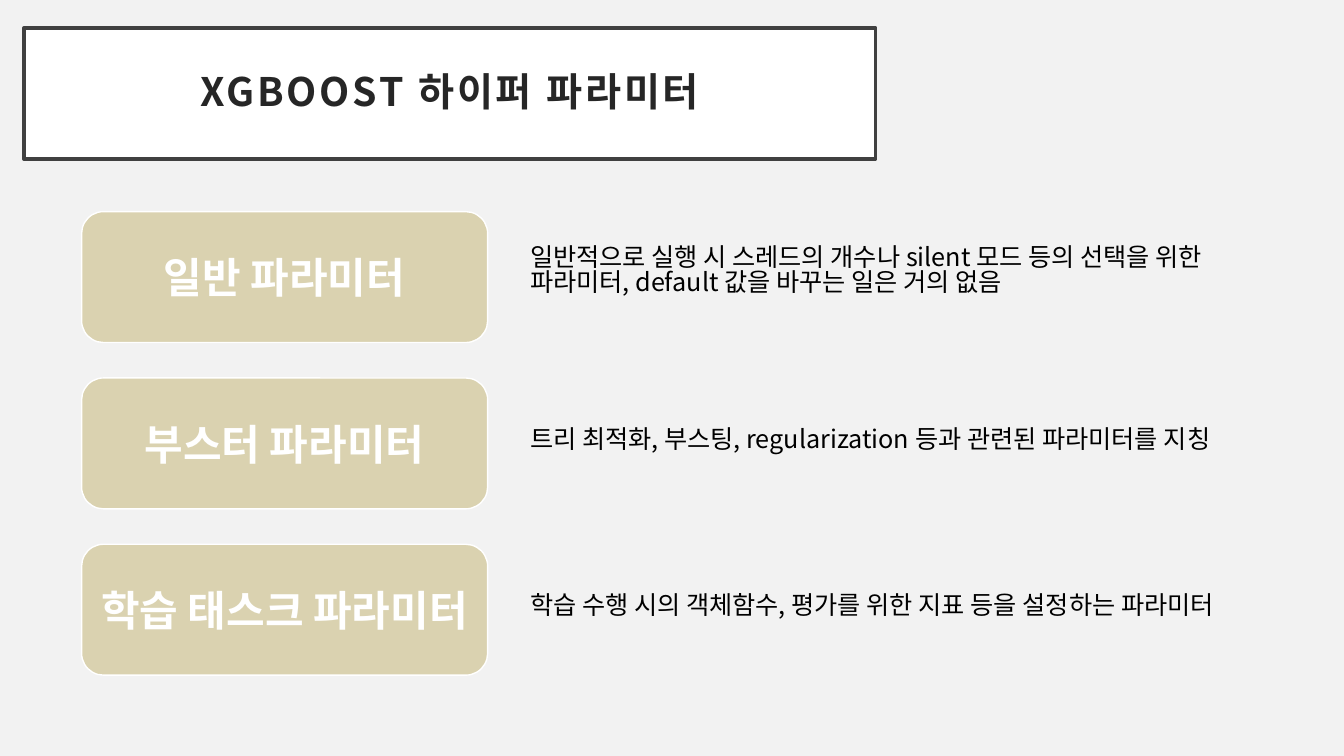
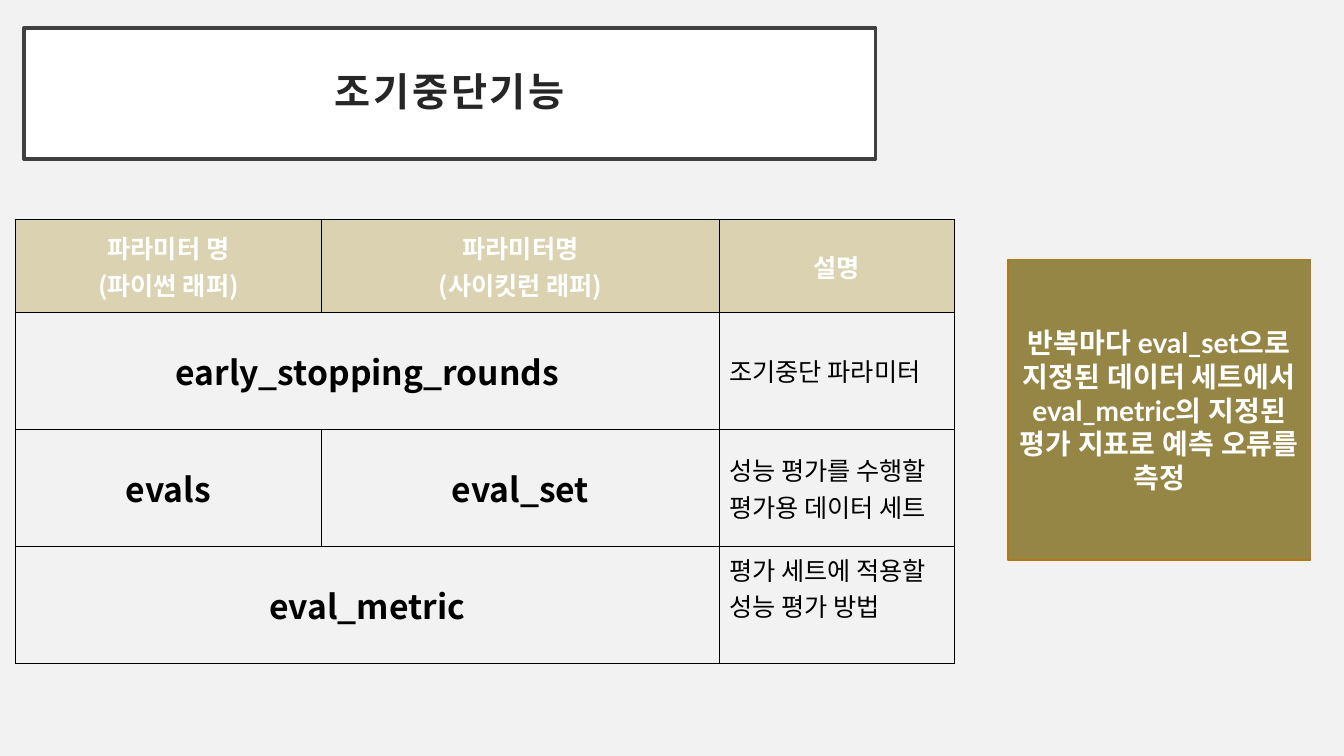
import pptx
import pptx.util
import pptx.dml.color
import pptx.enum.shapes
import pptx.enum.text
import pptx.oxml
import pptx.oxml.ns

Pt = pptx.util.Pt
RGB = pptx.dml.color.RGBColor.from_string
ALIGN = pptx.enum.text.PP_ALIGN
ANCHOR = pptx.enum.text.MSO_ANCHOR
FIT = pptx.enum.text.MSO_AUTO_SIZE
KIND = pptx.enum.shapes.MSO_SHAPE

HUES = {
    "page": "F2F2F2", "white": "FFFFFF", "frame": "404040", "title": "262626",
    "sand": "DAD2B0", "olive": "958646", "amber": "B67815", "black": "000000",
}
SANS = "Noto Sans CJK KR"


def write(frame, text, size=18, hue="black", bold=False, font=SANS,
          align=ALIGN.LEFT, gap=None, track=0):
    """Put one formatted paragraph into a text frame."""
    frame.word_wrap = True
    par = frame.paragraphs[0]
    par.text = text
    par.alignment = align
    if gap:
        par.line_spacing = gap
    for run in par.runs:
        run.font.size = Pt(size)
        run.font.bold = bold
        run.font.name = font
        run.font.color.rgb = RGB(HUES[hue])
        props = run.font._element
        east = pptx.oxml.parse_xml(
            f'<a:ea {pptx.oxml.ns.nsdecls("a")} typeface="{font}"/>')
        props.find(pptx.oxml.ns.qn("a:latin")).addnext(east)
        if track:
            props.set("spc", str(track * 100))


def paint(shape, fill, line, width):
    """Set the fill and outline of a shape."""
    shape.fill.solid()
    shape.fill.fore_color.rgb = RGB(HUES[fill])
    shape.line.color.rgb = RGB(HUES[line])
    shape.line.width = Pt(width)


def edge(cell, hue="black", width=1):
    """Draw all four borders of a table cell."""
    props = cell._tc.get_or_add_tcPr()
    for spot, side in enumerate(("lnL", "lnR", "lnT", "lnB")):
        props.insert(spot, pptx.oxml.parse_xml(
            f'<a:{side} {pptx.oxml.ns.nsdecls("a")} w="{Pt(width)}"><a:solidFill>'
            f'<a:srgbClr val="{HUES[hue]}"/></a:solidFill></a:{side}>'))


class Deck:
    """Hold the shared style and the current slide."""

    def __init__(self):
        """Start a wide deck with a plain page colour."""
        self.prs = pptx.Presentation()
        self.prs.slide_width = Pt(960)
        self.prs.slide_height = Pt(540)
        fill = self.prs.slide_master.background.fill
        fill.solid()
        fill.fore_color.rgb = RGB(HUES["page"])
        self.slide = None

    def page(self, text):
        """Add a slide with its framed title."""
        self.slide = self.prs.slides.add_slide(self.prs.slide_layouts[5])
        title = self.slide.shapes.title
        title.left, title.top = Pt(17), Pt(20)
        title.width, title.height = Pt(608.5), Pt(93.5)
        paint(title, "white", "frame", 2.5)
        frame = title.text_frame
        frame.auto_size = FIT.NONE
        frame.vertical_anchor = ANCHOR.MIDDLE
        frame.margin_left = frame.margin_right = Pt(14.4)
        frame.margin_top = frame.margin_bottom = Pt(14.4)
        write(frame, text, size=28, hue="title", bold=True,
              align=ALIGN.CENTER, gap=0.9, track=2)

    def box(self, kind, left, top, width, height, text, fill, line, **style):
        """Add a filled shape with centred bold white text."""
        shape = self.slide.shapes.add_shape(
            kind, Pt(left), Pt(top), Pt(width), Pt(height))
        shape.shadow.inherit = False
        paint(shape, fill, line, 1)
        shape.text_frame.vertical_anchor = ANCHOR.MIDDLE
        write(shape.text_frame, text, hue="white", bold=True,
              align=ALIGN.CENTER, **style)

    def note(self, left, top, width, height, text, **style):
        """Add a wrapped text box."""
        shape = self.slide.shapes.add_textbox(
            Pt(left), Pt(top), Pt(width), Pt(height))
        write(shape.text_frame, text, **style)
        shape.text_frame.auto_size = FIT.SHAPE_TO_FIT_TEXT

    def grid(self, left, top, wides, highs, rows):
        """Add a bordered table; None joins a cell to the one before it."""
        table = self.slide.shapes.add_table(
            len(rows), len(wides), Pt(left), Pt(top),
            Pt(sum(wides)), Pt(sum(highs))).table
        table.first_row = table.horz_banding = False
        for col, wide in zip(table.columns, wides):
            col.width = Pt(wide)
        for row, high in zip(table.rows, highs):
            row.height = Pt(high)
        for r, row in enumerate(rows):
            for c, text in enumerate(row):
                cell = table.cell(r, c)
                self.fill(cell, r == 0)
                edge(cell)
                if text is None:
                    table.cell(r, c - 1).merge(cell)
                    continue
                last = c == len(row) - 1
                head = r == 0
                write(cell.text_frame, text, size=18 if head or last else 24,
                      hue="white" if head else "black", bold=head or not last,
                      align=ALIGN.LEFT if last and not head else ALIGN.CENTER)
        return table

    def fill(self, cell, head):
        """Fill a header cell, clear any other, and centre its text."""
        cell.vertical_anchor = ANCHOR.MIDDLE
        if head:
            cell.fill.solid()
            cell.fill.fore_color.rgb = RGB(HUES["sand"])
        else:
            cell.fill.background()


def kinds(deck):
    """Build the slide on the three kinds of parameter."""
    deck.page("XGBOOST 하이퍼 파라미터")
    rows = [
        ("일반 파라미터", "일반적으로 실행 시 스레드의 개수나 silent 모드 등의 선택을 위한 "
         "파라미터, default 값을 바꾸는 일은 거의 없음", 51),
        ("부스터 파라미터", "트리 최적화, 부스팅, regularization 등과 관련된 파라미터를 지칭", 29),
        ("학습 태스크 파라미터", "학습 수행 시의 객체함수, 평가를 위한 지표 등을 설정하는 파라미터", 29),
    ]
    high = 93.5
    for i, (name, text, tall) in enumerate(rows):
        top = 151.2 + i * 118.8
        deck.box(KIND.ROUNDED_RECTANGLE, 58.3, top, 290, high, name,
                 "sand", "white", size=30)
        deck.note(371.5, top + (high - tall) / 2, 530, tall, text, gap=0.83)


def stop(deck):
    """Build the slide on early stopping."""
    deck.page("조기중단기능")
    table = deck.grid(10.8, 157, (219, 284, 168), (66.2, 83.5, 83.5, 83.5), [
        ("파라미터 명\v(파이썬 래퍼)", "파라미터명\v(사이킷런 래퍼)", "설명"),
        ("early_stopping_rounds", None, "조기중단 파라미터"),
        ("evals", "eval_set", "성능 평가를 수행할 평가용 데이터 세트"),
        ("eval_metric", None, "평가 세트에 적용할 성능 평가 방법"),
    ])
    table.cell(3, 2).vertical_anchor = ANCHOR.TOP
    deck.box(KIND.RECTANGLE, 720, 185.5, 216, 214.5,
             "반복마다 eval_set으로 지정된 데이터 세트에서 eval_metric의 "
             "지정된 평가 지표로 예측 오류를 측정", "olive", "amber",
             size=20, font="Lato")


deck = Deck()
kinds(deck)
stop(deck)
deck.prs.save("out.pptx")
